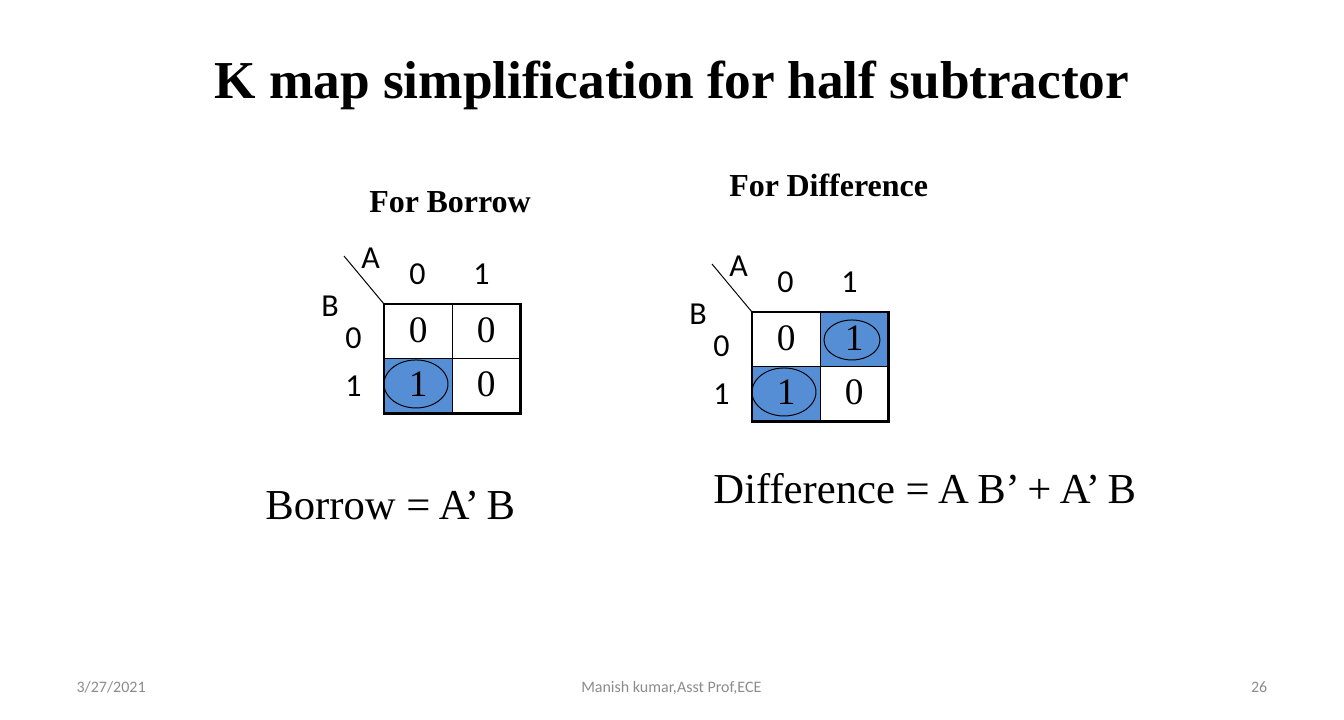
from lxml import etree
from pptx import Presentation
from pptx.dml.color import RGBColor
from pptx.enum.shapes import MSO_CONNECTOR, MSO_SHAPE
from pptx.enum.text import MSO_ANCHOR, PP_ALIGN
from pptx.oxml.ns import qn
from pptx.util import Inches, Pt

LEFT, MID, RIGHT = PP_ALIGN.LEFT, PP_ALIGN.CENTER, PP_ALIGN.RIGHT
TOP, CENTER = MSO_ANCHOR.TOP, MSO_ANCHOR.MIDDLE
LINE, OVAL = MSO_CONNECTOR.STRAIGHT, MSO_SHAPE.OVAL
SERIF, SANS = "Times New Roman", "Calibri"
BLACK, BLUE, GREY = "000000", "558ED5", "8C8C8C"
WIDE, HIGH = 14, 7.5
COL, ROW = 0.71, 0.57
THICK, THIN = 2.25, 1

# Content; positions are in twelfths of an inch
TITLE = "K map simplification for half subtractor"
MAPS = [
    {"at": (48, 38), "rows": ["00", "10"], "rings": [(0, 7, 8, 6)],
     "head": ("For Borrow", 45, 22, 26),
     "sum": ("Borrow = A’ B", 32, 59, 36)},
    {"at": (94, 39), "rows": ["01", "10"],
     "rings": [(0, 7, 8, 6), (9, 1, 7, 5)],
     "head": ("For Difference", 90, 20, 32),
     "sum": ("Difference = A B’ + A’ B", 88, 57, 57)},
]
# Axis labels: text, offset from the map corner, width
LABELS = [("A", -4, -9, 5), ("B", -9, -3, 5), ("0", 2, -7, 7),
          ("1", 10, -7, 7), ("0", -6, 1, 7), ("1", -6, 7, 7)]
# Footer: text, left, width, alignment
FOOT = [("3/27/2021", 0.7, 3.27, LEFT),
        ("26", 10.03, 3.27, RIGHT),
        ("Manish kumar,Asst Prof,ECE", 4.78, 4.43, MID)]


def rgb(code):
    return RGBColor.from_string(code)


def grid(*units):
    return [Inches(u / 12) for u in units]


def write(para, text, size, font=SERIF, color=BLACK, bold=False, align=LEFT):
    para.alignment = align
    run = para.add_run()
    run.text = text
    run.font.size, run.font.name, run.font.bold = Pt(size), font, bold
    run.font.color.rgb = rgb(color)


def label(box, text, size, anchor=TOP, **look):
    frame = slide.shapes.add_textbox(*box).text_frame
    frame.word_wrap = True
    frame.vertical_anchor = anchor
    write(frame.paragraphs[0], text, size, **look)


def border(cell, widths):
    props = cell._tc.get_or_add_tcPr()
    for i, (side, width) in enumerate(zip("LRTB", widths)):
        edge = etree.Element(qn(f"a:ln{side}"), w=str(Pt(width)))
        fill = etree.SubElement(edge, qn("a:solidFill"))
        etree.SubElement(fill, qn("a:srgbClr"), val=BLACK)
        props.insert(i, edge)


def table(x, y, rows):
    grid_tab = slide.shapes.add_table(2, 2, *grid(x, y), Inches(2 * COL),
                                      Inches(2 * ROW)).table
    grid_tab.first_row = grid_tab.horz_banding = False
    for r, row in enumerate(rows):
        grid_tab.rows[r].height = Inches(ROW)
        grid_tab.columns[r].width = Inches(COL)
        for c, bit in enumerate(row):
            cell = grid_tab.cell(r, c)
            write(cell.text_frame.paragraphs[0], bit, 28, align=MID)
            if bit == "1":
                cell.fill.solid()
                cell.fill.fore_color.rgb = rgb(BLUE)
            else:
                cell.fill.background()
            # Outer edges are thick, inner ones thin
            outer = (c == 0, c == 1, r == 0, r == 1)
            border(cell, [THICK if out else THIN for out in outer])


def stroke(shape):
    shape.line.color.rgb = rgb(BLACK)
    shape.line.width = Pt(0.75)


def draw(kmap):
    x, y = kmap["at"]
    table(x, y, kmap["rows"])
    # Corner line between the two axis names
    slash = slide.shapes.add_connector(LINE, *grid(x, y, x - 5, y - 6))
    stroke(slash)
    etree.SubElement(slash._element.spPr, qn("a:effectLst"))
    for text, dx, dy, w in LABELS:
        label(grid(x + dx, y + dy, w, 6), text, 24, font=SANS)
    # Rings around the ones
    for dx, dy, w, h in kmap["rings"]:
        ring = slide.shapes.add_shape(OVAL, *grid(x + dx, y + dy, w, h))
        ring.shadow.inherit = False
        ring.fill.background()
        stroke(ring)
    # Heading and result
    text, *place = kmap["head"]
    label(grid(*place, 6), text, 24, bold=True)
    text, *place = kmap["sum"]
    label(grid(*place, 7.7), text, 32)


prs = Presentation()
prs.slide_width, prs.slide_height = Inches(WIDE), Inches(HIGH)
slide = prs.slides.add_slide(prs.slide_layouts[6])

label((0, Inches(0.33), Inches(WIDE), Inches(0.95)), TITLE, 40,
      CENTER, bold=True, align=MID)
for kmap in MAPS:
    draw(kmap)
for text, x, w, align in FOOT:
    label((Inches(x), Inches(6.95), Inches(w), Inches(0.4)), text, 12,
          CENTER, font=SANS, color=GREY, align=align)

prs.save("out.pptx")
